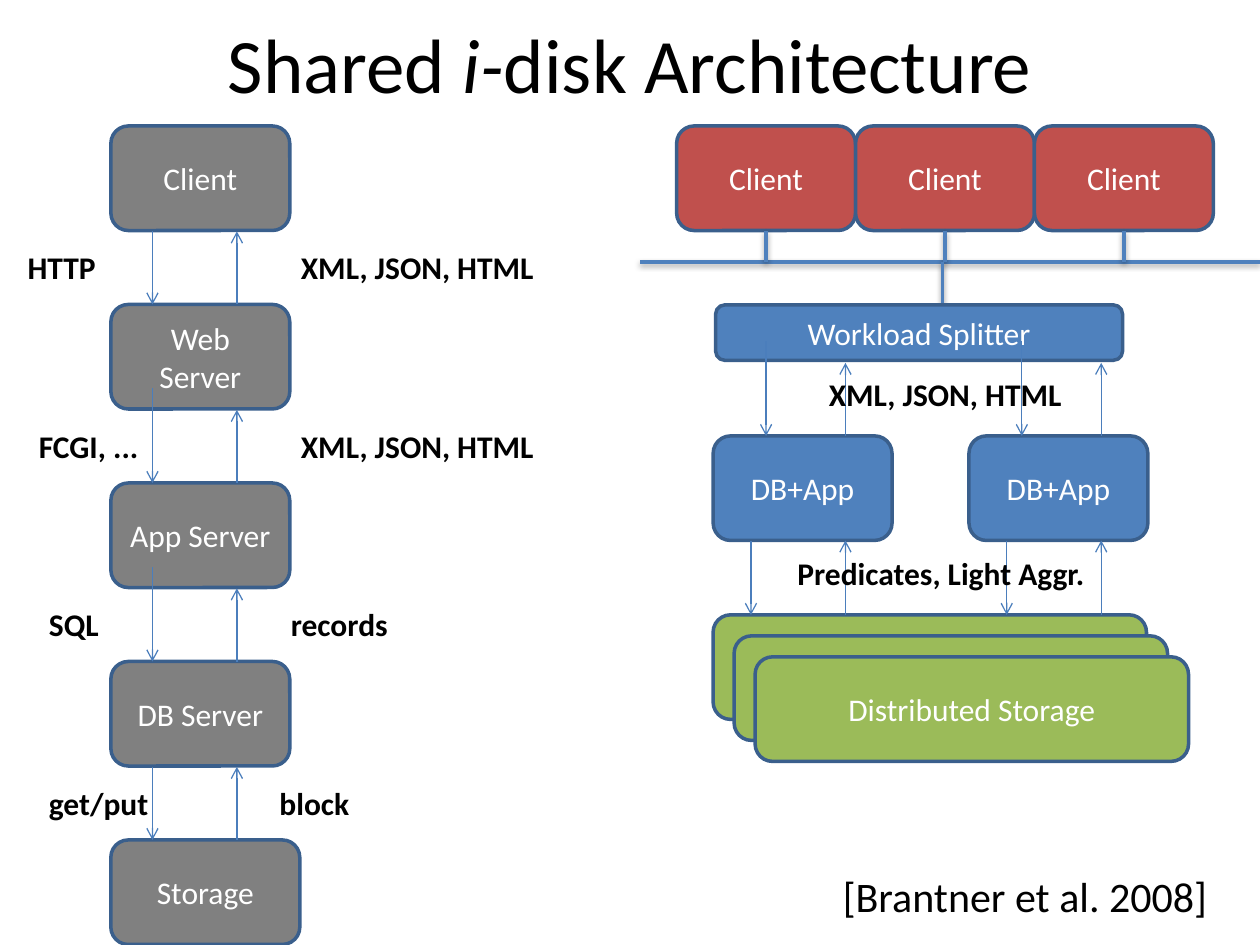
from dataclasses import dataclass

from lxml import etree
from pptx import Presentation
from pptx.dml.color import RGBColor
from pptx.enum import shapes, text
from pptx.oxml import ns
from pptx.util import Inches, Pt


@dataclass(frozen=True)
class Theme:
    font: str = "Calibri"
    ink: str = "000000"
    white: str = "FFFFFF"
    gray: str = "808080"
    red: str = "C0504D"
    blue: str = "4F81BD"
    green: str = "9BBB59"
    edge: str = "3A5F8C"
    arrow: str = "4B7EBC"
    title: int = 44
    cite: int = 24
    body: int = 18


@dataclass(frozen=True)
class Box:
    words: str
    x: float
    y: float
    fill: str
    w: float = 1.42
    h: float = 0.83


@dataclass(frozen=True)
class Label:
    words: str
    x: float
    y: float
    w: float


@dataclass(frozen=True)
class Line:
    x: float
    y: float
    x2: float
    y2: float


T = Theme()
HIGH = 0.83
STEP = 17 / 12
TOP = 1
TIERS = ["Client", "Web Server", "App Server", "DB Server", "Storage"]
DROPS = [0.58, 0.75, 0.75, 0.58]
LABELS = [
    Label("HTTP", 0.12, 1.92, 0.75),
    Label("FCGI, ...", 0.21, 3.34, 1),
    Label("SQL", 0.29, 4.75, 0.6),
    Label("get/put", 0.29, 6.17, 1),
    Label("XML, JSON, HTML", 2.29, 1.92, 2.4),
    Label("XML, JSON, HTML", 2.29, 3.34, 2.4),
    Label("records", 2.21, 4.75, 0.98),
    Label("block", 2.12, 6.17, 0.76),
    Label("XML, JSON, HTML", 6.48, 2.93, 2.4),
    Label("Predicates, Light Aggr.", 6.23, 4.35, 2.5),
]


def style(para, size: int, color: str, bold: bool = False) -> None:
    para.font.name = T.font
    para.font.size = Pt(size)
    para.font.bold = bold
    para.font.color.rgb = RGBColor.from_string(color)


def add_box(slide, box: Box):
    shape = slide.shapes.add_shape(
        shapes.MSO_SHAPE.ROUNDED_RECTANGLE,
        Inches(box.x), Inches(box.y), Inches(box.w), Inches(box.h))
    shape.shadow.inherit = False
    shape.fill.solid()
    shape.fill.fore_color.rgb = RGBColor.from_string(box.fill)
    shape.line.color.rgb = RGBColor.from_string(T.edge)
    shape.line.width = Pt(2)
    frame = shape.text_frame
    frame.vertical_anchor = text.MSO_ANCHOR.MIDDLE
    if box.words:
        para = frame.paragraphs[0]
        para.text = box.words
        para.alignment = text.PP_ALIGN.CENTER
        style(para, T.body, T.white)
    return shape


def add_label(slide, label: Label, size: int = T.body, bold: bool = True,
              high: float = 0.4) -> None:
    area = slide.shapes.add_textbox(
        Inches(label.x), Inches(label.y), Inches(label.w), Inches(high))
    frame = area.text_frame
    frame.word_wrap = False
    frame.auto_size = text.MSO_AUTO_SIZE.SHAPE_TO_FIT_TEXT
    para = frame.paragraphs[0]
    para.text = label.words
    style(para, size, T.ink, bold)


def add_line(slide, line: Line, color: str, width: float):
    """Draw a straight connector without effects; return it and its effect list."""
    link = slide.shapes.add_connector(
        shapes.MSO_CONNECTOR.STRAIGHT,
        Inches(line.x), Inches(line.y), Inches(line.x2), Inches(line.y2))
    link.line.color.rgb = RGBColor.from_string(color)
    link.line.width = Pt(width)
    effects = etree.SubElement(link._element.spPr, ns.qn("a:effectLst"))
    return link, effects


def add_arrow(slide, line: Line) -> None:
    link, _ = add_line(slide, line, T.arrow, 0.75)
    etree.SubElement(link.line._get_or_add_ln(), ns.qn("a:tailEnd"), type="arrow")


def add_wire(slide, line: Line):
    """Draw a network line with a soft shadow below it."""
    link, effects = add_line(slide, line, T.blue, 2)
    shade = etree.SubElement(
        effects, ns.qn("a:outerShdw"), blurRad=str(int(Pt(3.1))),
        dist=str(int(Pt(1.6))), dir="5400000", rotWithShape="0")
    color = etree.SubElement(shade, ns.qn("a:srgbClr"), val=T.ink)
    etree.SubElement(color, ns.qn("a:alpha"), val="38000")
    return link


def add_title(slide) -> None:
    area = slide.shapes.add_textbox(Inches(0.5), 0, Inches(9), Inches(1))
    frame = area.text_frame
    frame.word_wrap = True
    frame.vertical_anchor = text.MSO_ANCHOR.MIDDLE
    para = frame.paragraphs[0]
    para.alignment = text.PP_ALIGN.CENTER
    style(para, T.title, T.ink)
    for words, slant in [("Shared ", False), ("i-", True),
                         ("disk Architecture", False)]:
        run = para.add_run()
        run.text = words
        run.font.italic = slant


def add_tiers(slide) -> None:
    tops = [TOP + STEP * i for i in range(len(TIERS))]
    for name, y in zip(TIERS, tops):
        wide = 1.5 if name == "Storage" else 1.42
        add_box(slide, Box(name, 0.88, y, T.gray, wide))
    for drop, y in zip(DROPS, tops[1:]):
        add_arrow(slide, Line(1.21, y - drop, 1.21, y))
        add_arrow(slide, Line(1.88, y, 1.88, y - 0.58))


def add_network(slide) -> None:
    bus = 2.08
    wide = 1.42
    add_wire(slide, Line(5.08, bus, 10, bus))
    for i in range(3):
        x = 5.37 + wide * i
        client = add_box(slide, Box("Client", x, TOP, T.red))
        mid = x + wide / 2
        wire = add_wire(slide, Line(mid, TOP + HIGH, mid, bus))
        wire.begin_connect(client, 2)
    add_wire(slide, Line(7.48, bus, 7.48, 2.49))
    add_box(slide, Box("Workload Splitter", 5.68, 2.42, T.blue, 3.23, 0.44))


def add_cluster(slide) -> None:
    store = 4.88
    left = 5.66
    for i, words in enumerate(["", "", "Distributed Storage"]):
        shift = i / 6
        add_box(slide, Box(words, left + shift, store + shift, T.green, 3.44))
    for x in (left, 7.69):
        y = 3.46
        add_box(slide, Box("DB+App", x, y, T.blue))
        add_arrow(slide, Line(x + 0.3, y + HIGH, x + 0.3, store))
        add_arrow(slide, Line(x + 1.05, store, x + 1.05, y + HIGH))
        add_arrow(slide, Line(x + 0.42, y - 0.75, x + 0.42, y))
        add_arrow(slide, Line(x + 1.05, y, x + 1.05, y - 0.58))


def main() -> None:
    deck = Presentation()
    deck.slide_width, deck.slide_height = Inches(10), Inches(7.5)
    slide = deck.slides.add_slide(deck.slide_layouts[6])
    add_title(slide)
    add_tiers(slide)
    add_network(slide)
    add_cluster(slide)
    for label in LABELS:
        add_label(slide, label)
    add_label(slide, Label("[Brantner et al. 2008]", 6.59, 6.86, 3.12),
              T.cite, False, 0.5)
    deck.save("out.pptx")


if __name__ == "__main__":
    main()
